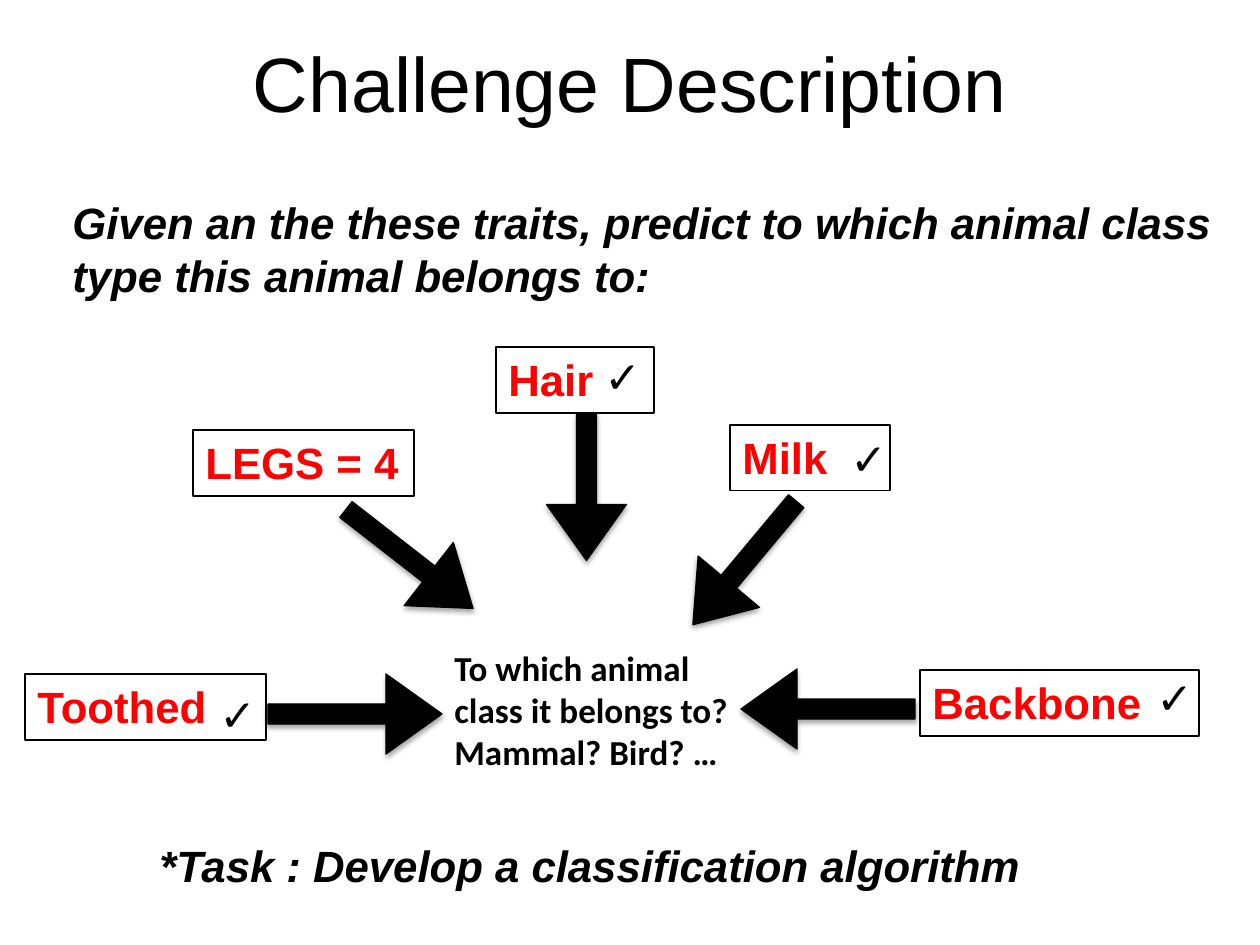
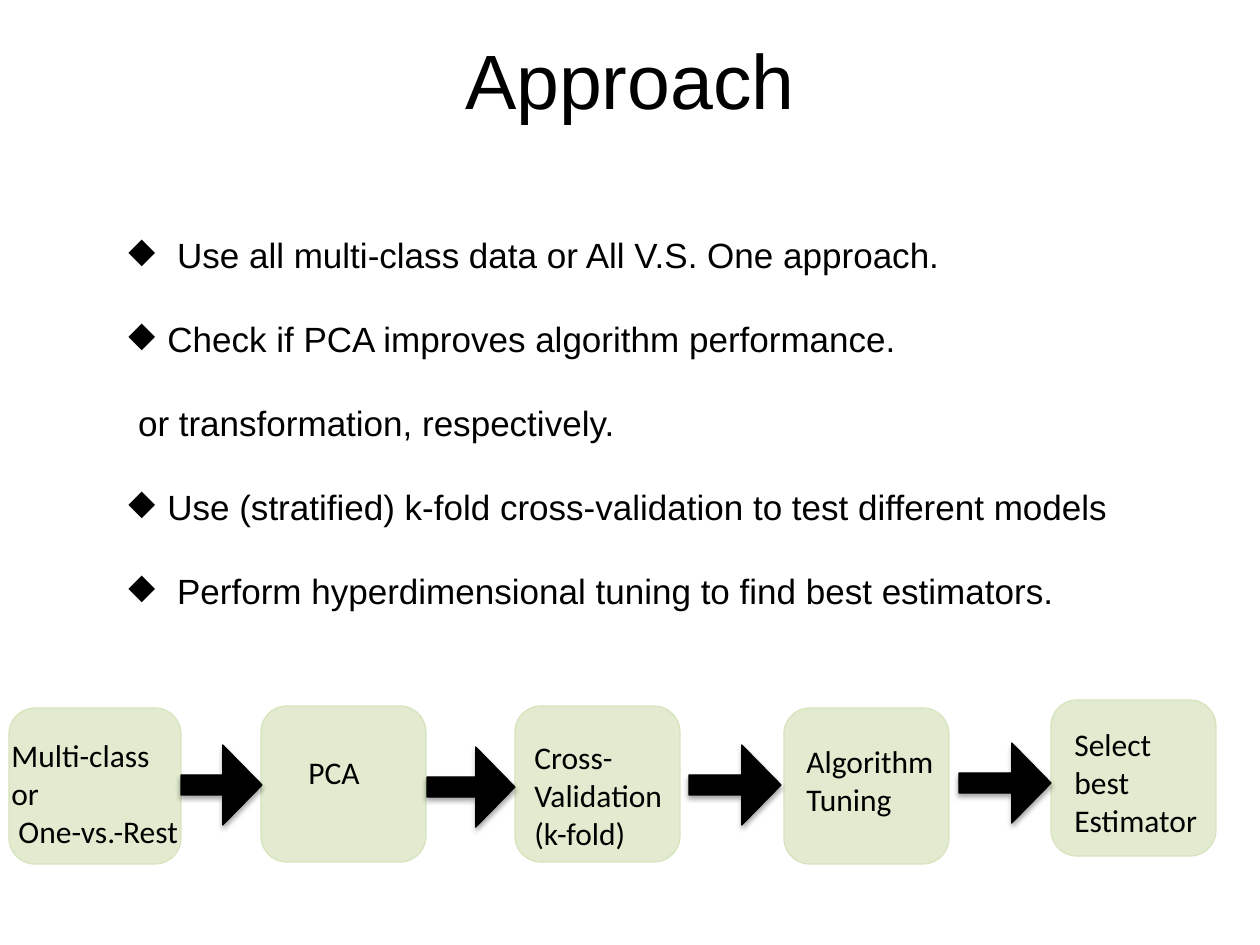
from dataclasses import dataclass

from lxml.etree import SubElement
from pptx import Presentation
from pptx.dml.color import RGBColor
from pptx.enum.shapes import MSO_SHAPE as Preset
from pptx.enum.text import MSO_ANCHOR as Anchor, PP_ALIGN as Align
from pptx.oxml.ns import qn
from pptx.util import Emu, Pt

PX_PER_INCH = 126
BLANK_LAYOUT = 6


def px(length):
    return Emu(round(length * 914400 / PX_PER_INCH))


@dataclass(frozen=True)
class Theme:
    ink: str = "000000"
    trait: str = "FF0000"
    stage: str = "D7E4BD"
    stage_opacity: int = 72000
    heading_font: str = "Arial"
    body_font: str = "Calibri"
    title_size: int = 44
    lead_size: int = 25
    body_size: int = 20
    caption_size: int = 18
    line_width: float = 0.75
    arrow_height: int = 80
    shaft_ratio: float = 0.25


class SlideBuilder:
    def __init__(self, deck, theme):
        self.deck = deck
        self.theme = theme
        self.page = None

    def new_page(self, title, title_top):
        layout = self.deck.slide_layouts[BLANK_LAYOUT]
        self.page = self.deck.slides.add_slide(layout)
        box = self.text(title, 63, title_top, 1134, 158, self.theme.title_size)
        box.text_frame.vertical_anchor = Anchor.MIDDLE
        box.text_frame.paragraphs[0].alignment = Align.CENTER

    def text(self, words, left, top, width, height, size, font=None,
             color=None, bold=False, italic=False, wrap=True):
        box = self.page.shapes.add_textbox(px(left), px(top), px(width), px(height))
        frame = box.text_frame
        frame.word_wrap = wrap
        frame.text = words
        for para in frame.paragraphs:
            for span in para.runs:
                span.font.size = Pt(size)
                span.font.name = font or self.theme.heading_font
                span.font.bold = bold
                span.font.italic = italic
                span.font.color.rgb = RGBColor.from_string(color or self.theme.ink)
        return box

    def lead(self, words, left, top, width, height, wrap=True):
        self.text(words, left, top, width, height, self.theme.lead_size,
                  bold=True, italic=True, wrap=wrap)

    def trait(self, name, left, top, width, wrap=True):
        box = self.text(name, left, top, width, 66, self.theme.lead_size,
                        color=self.theme.trait, bold=True, wrap=wrap)
        self.outline(box, self.theme.ink)

    def check(self, left, top):
        self.text("✓", left, top, 57, 66, self.theme.lead_size)

    def caption(self, words, left, top, width, height, wrap=True):
        self.text(words, left, top, width, height, self.theme.caption_size,
                  font=self.theme.body_font, wrap=wrap)

    def bullets(self, items, left, top, width, height, indent):
        """Write (text, has_bullet) items as double-spaced paragraphs."""
        words = "\n".join(item for item, _ in items)
        box = self.text(words, left, top, width, height, self.theme.body_size)
        for para, (_, has_bullet) in zip(box.text_frame.paragraphs, items):
            para.line_spacing = 2.0
            if has_bullet:
                properties = para._p.get_or_add_pPr()
                properties.set("marL", str(px(indent)))
                properties.set("indent", str(-px(indent)))
                SubElement(properties, qn("a:buChar"), char="◆")

    def outline(self, shape, color):
        shape.line.color.rgb = RGBColor.from_string(color)
        shape.line.width = Pt(self.theme.line_width)

    def preset(self, kind, left, top, width, height, color):
        shape = self.page.shapes.add_shape(
            kind, px(left), px(top), px(width), px(height))
        shape.shadow.inherit = False
        shape.fill.solid()
        shape.fill.fore_color.rgb = RGBColor.from_string(color)
        self.outline(shape, color)
        return shape

    def stage(self, left, top, width):
        box = self.preset(Preset.ROUNDED_RECTANGLE, left, top, width, 156,
                          self.theme.stage)
        fill_color = box._element.spPr.find(qn("a:solidFill"))[0]
        SubElement(fill_color, qn("a:alpha"), val=str(self.theme.stage_opacity))

    def arrow(self, left, top, width, head_ratio, rotation=0):
        arrow = self.preset(Preset.RIGHT_ARROW, left, top, width,
                            self.theme.arrow_height, self.theme.ink)
        arrow.adjustments[0] = self.theme.shaft_ratio
        arrow.adjustments[1] = head_ratio
        arrow.rotation = rotation
        self.soft_shadow(arrow)

    def soft_shadow(self, shape):
        effects = shape._element.spPr.find(qn("a:effectLst"))
        shadow = SubElement(effects, qn("a:outerShdw"), blurRad=str(Pt(3.1)),
                            dist=str(Pt(1.8)), dir="5400000", rotWithShape="0")
        color = SubElement(shadow, qn("a:srgbClr"), val=self.theme.ink)
        SubElement(color, qn("a:alpha"), val="35000")


def build_challenge(builder):
    builder.new_page("Challenge Description", 3)
    builder.lead("Given an the these traits, predict to which animal class "
                 "type this animal belongs to:", 60, 190, 1171, 118)

    builder.trait("LEGS = 4", 193, 430, 221, wrap=False)
    for name, left, top, width in (
        ("Hair", 496, 347, 158),
        ("Milk", 730, 425, 160),
        ("Backbone", 920, 670, 279),
        ("Toothed", 25, 674, 241),
    ):
        builder.trait(name, left, top, width)
    for left, top in ((592, 344), (838, 426), (1144, 665), (207, 682)):
        builder.check(left, top)

    for left, top, width, rotation in (
        (664, 523, 161, 129.9),
        (513, 447, 147, 90),
        (268, 674, 174, 0),
        (329, 519, 161, 37.9),
        (741, 669, 174, 180),
    ):
        builder.arrow(left, top, width, 0.7, rotation)

    builder.text("To which animal class it belongs to?\nMammal? Bird? …",
                 442, 640, 325, 140, builder.theme.body_size,
                 font=builder.theme.body_font, bold=True)
    builder.lead("*Task : Develop a classification algorithm",
                 147, 833, 903, 66, wrap=False)


def build_approach(builder):
    builder.new_page("Approach", 0)
    builder.bullets((
        (" Use all multi-class data or All V.S. One approach.", True),
        ("Check if PCA improves algorithm performance.", True),
        (" or transformation, respectively.", False),
        ("Use (stratified) k-fold cross-validation to test different models", True),
        (" Perform hyperdimensional tuning to find best estimators.", True),
    ), 116, 185, 1008, 430, indent=39)

    for left, top, width in (
        (9, 708, 172), (261, 706, 165), (515, 706, 165),
        (784, 708, 165), (1051, 700, 165),
    ):
        builder.stage(left, top, width)
    for left, top, width in (
        (181, 745, 81), (427, 747, 88), (689, 745, 92), (959, 743, 92),
    ):
        builder.arrow(left, top, width, 0.49)

    builder.caption("Multi-class\nor\n One-vs.-Rest", -1, 730, 197, 127, wrap=False)
    builder.caption("PCA", 296, 747, 79, 50, wrap=False)
    builder.caption("Cross-Validation\n(k-fold)", 522, 732, 160, 127)
    builder.caption("Algorithm\nTuning", 794, 736, 160, 89)
    builder.caption("Select best Estimator", 1062, 719, 152, 127)


def main():
    deck = Presentation()
    deck.slide_width = px(1260)
    deck.slide_height = px(945)
    builder = SlideBuilder(deck, Theme())
    build_challenge(builder)
    build_approach(builder)
    deck.save("out.pptx")


if __name__ == "__main__":
    main()
